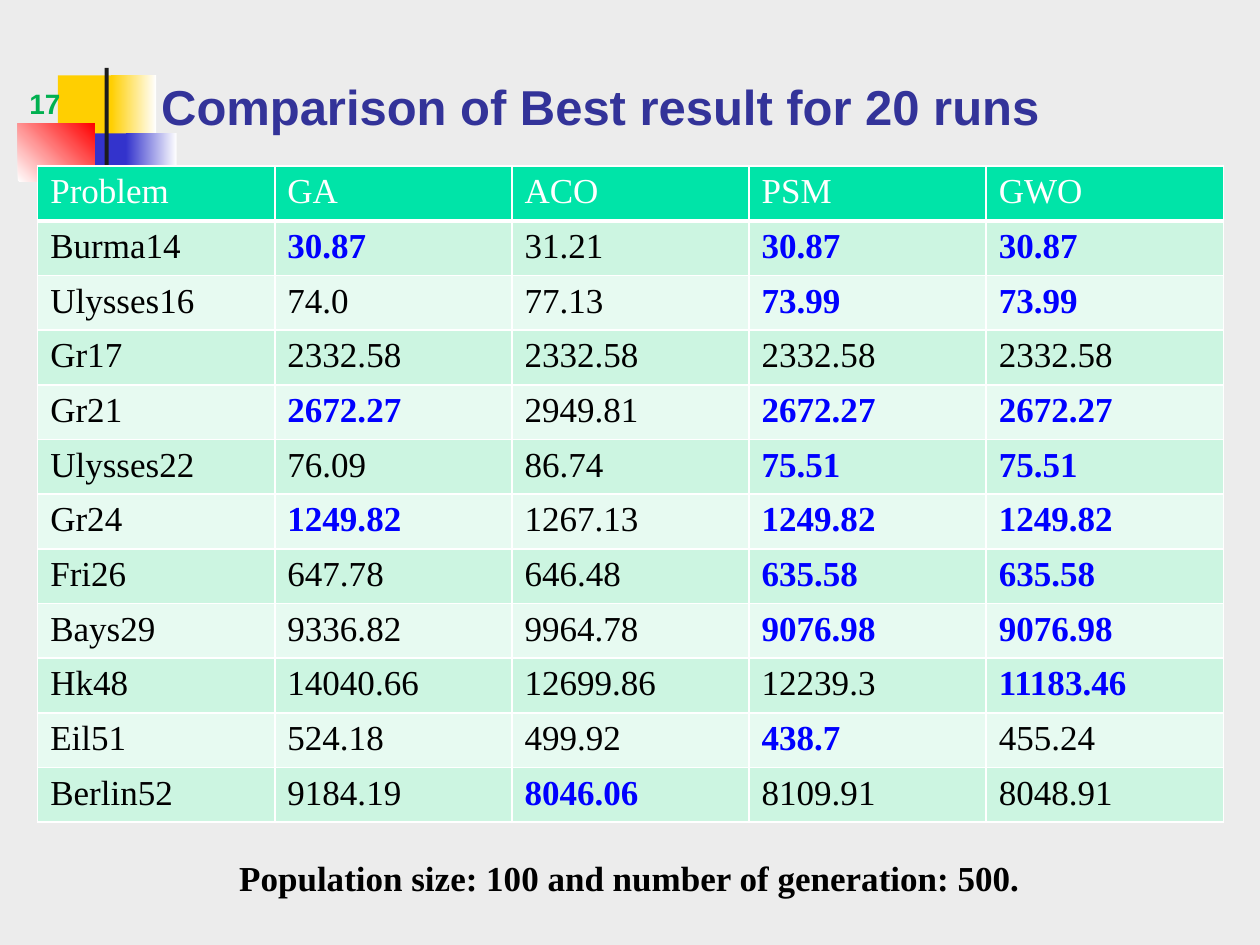
from lxml.etree import SubElement
from pptx import Presentation
from pptx.dml.color import RGBColor
from pptx.enum.shapes import MSO_SHAPE
from pptx.enum.text import MSO_ANCHOR, PP_ALIGN
from pptx.oxml.ns import qn
from pptx.util import Cm, Pt

GREY = RGBColor(0xEC, 0xEC, 0xEC)
WHITE = RGBColor(0xFF, 0xFF, 0xFF)
BLACK = RGBColor(0x00, 0x00, 0x00)
CHARCOAL = RGBColor(0x1C, 0x1C, 0x1C)
YELLOW = RGBColor(0xFF, 0xCF, 0x01)
INDIGO = RGBColor(0x33, 0x33, 0xCC)
RED = RGBColor(0xFF, 0x00, 0x00)
NAVY = RGBColor(0x33, 0x33, 0x99)
GREEN = RGBColor(0x00, 0xB0, 0x50)
BLUE = RGBColor(0x00, 0x00, 0xFF)
HEADER = RGBColor(0x00, 0xE4, 0xA8)
BANDS = (RGBColor(0xE7, 0xFA, 0xF1), RGBColor(0xCC, 0xF5, 0xE1))

COLUMNS = ["Problem", "GA", "ACO", "PSM", "GWO"]
RESULTS = [
    ["Burma14", "30.87", "31.21", "30.87", "30.87"],
    ["Ulysses16", "74.0", "77.13", "73.99", "73.99"],
    ["Gr17", "2332.58", "2332.58", "2332.58", "2332.58"],
    ["Gr21", "2672.27", "2949.81", "2672.27", "2672.27"],
    ["Ulysses22", "76.09", "86.74", "75.51", "75.51"],
    ["Gr24", "1249.82", "1267.13", "1249.82", "1249.82"],
    ["Fri26", "647.78", "646.48", "635.58", "635.58"],
    ["Bays29", "9336.82", "9964.78", "9076.98", "9076.98"],
    ["Hk48", "14040.66", "12699.86", "12239.3", "11183.46"],
    ["Eil51", "524.18", "499.92", "438.7", "455.24"],
    ["Berlin52", "9184.19", "8046.06", "8109.91", "8048.91"],
]


def write(tf, text, font="Times New Roman", size=20, color=BLACK, bold=False,
          align=PP_ALIGN.LEFT):
    p = tf.paragraphs[0]
    p.alignment = align
    r = p.add_run()
    r.text = text
    r.font.name = font
    r.font.size = Pt(size)
    r.font.bold = bold
    r.font.color.rgb = color


def best_values(row):
    """Lowest values of a row; none when every method ties."""
    values = set(row[1:])
    return {min(values, key=float)} if len(values) > 1 else set()


class Deck:
    def __init__(self):
        self.prs = Presentation()
        self.prs.slide_width, self.prs.slide_height = Cm(25.4), Cm(19.05)
        self.s = self.prs.slides.add_slide(self.prs.slide_layouts[6])
        bg = self.s.background.fill
        bg.solid()
        bg.fore_color.rgb = GREY

    def block(self, x, y, w, h, *colors, angle=0):
        """Rectangle filled with one colour, or a gradient between two."""
        sp = self.s.shapes.add_shape(MSO_SHAPE.RECTANGLE, Cm(x), Cm(y), Cm(w), Cm(h))
        sp.shadow.inherit = False
        sp.line.fill.background()
        if len(colors) == 1:
            sp.fill.solid()
            sp.fill.fore_color.rgb = colors[0]
        else:
            sp.fill.gradient()
            sp.fill.gradient_angle = angle
            for stop, color in zip(sp.fill.gradient_stops, colors):
                stop.color.rgb = color

    def text(self, x, y, w, h, text, anchor=MSO_ANCHOR.BOTTOM, **fmt):
        tf = self.s.shapes.add_textbox(Cm(x), Cm(y), Cm(w), Cm(h)).text_frame
        tf.word_wrap = True
        tf.vertical_anchor = anchor
        write(tf, text, **fmt)

    def cell(self, cell, text, fill, top=1, bottom=1, **fmt):
        tcPr = cell._tc.get_or_add_tcPr()
        for side, width in (("L", 1), ("R", 1), ("T", top), ("B", bottom)):
            ln = SubElement(tcPr, qn(f"a:ln{side}"), w=str(Pt(width)))
            SubElement(SubElement(ln, qn("a:solidFill")), qn("a:srgbClr"), val=str(WHITE))
        cell.fill.solid()
        cell.fill.fore_color.rgb = fill
        write(cell.text_frame, text, **fmt)

    def table(self, x, y, w, row_h, header, rows):
        n = len(rows) + 1
        table = self.s.shapes.add_table(n, len(header), Cm(x), Cm(y), Cm(w),
                                        Cm(row_h * n)).table
        for j, name in enumerate(header):
            self.cell(table.cell(0, j), name, HEADER, bottom=3, color=WHITE)
        for i, row in enumerate(rows, 1):
            best = best_values(row)
            for j, value in enumerate(row):
                win = value in best
                self.cell(table.cell(i, j), value, BANDS[i % 2], top=3 if i == 1 else 1,
                          color=BLUE if win else BLACK, bold=win)


def main():
    d = Deck()

    # Corner decoration
    d.block(1.17, 1.52, 1.22, 1.32, YELLOW)
    d.block(2.24, 1.52, 0.91, 1.32, YELLOW, WHITE)
    d.block(1.5, 2.69, 1.17, 1.32, INDIGO)
    d.block(2.54, 2.69, 1.02, 1.32, INDIGO, WHITE)
    d.block(0.36, 2.49, 1.55, 1.17, WHITE, RED, angle=45)
    d.block(2.11, 1.37, 0.08, 2.92, CHARCOAL)

    # Title and slide number
    d.text(3, 1.4, 21.64, 1.45, "Comparison of Best result for 20 runs",
           font="Arial", size=28, color=NAVY, bold=True)
    d.text(0, 1.7, 1.47, 0.84, "17", font="Arial", size=16, color=GREEN, bold=True,
           align=PP_ALIGN.RIGHT)

    # Results, with the best values highlighted
    d.table(0.76, 3.35, 23.9, 1.04, COLUMNS, RESULTS)

    # Run settings
    d.text(0.74, 17.15, 23.9, 1.12, "Population size: 100 and number of generation: 500.",
           anchor=MSO_ANCHOR.TOP, bold=True, align=PP_ALIGN.CENTER)

    d.prs.save("out.pptx")


if __name__ == "__main__":
    main()
